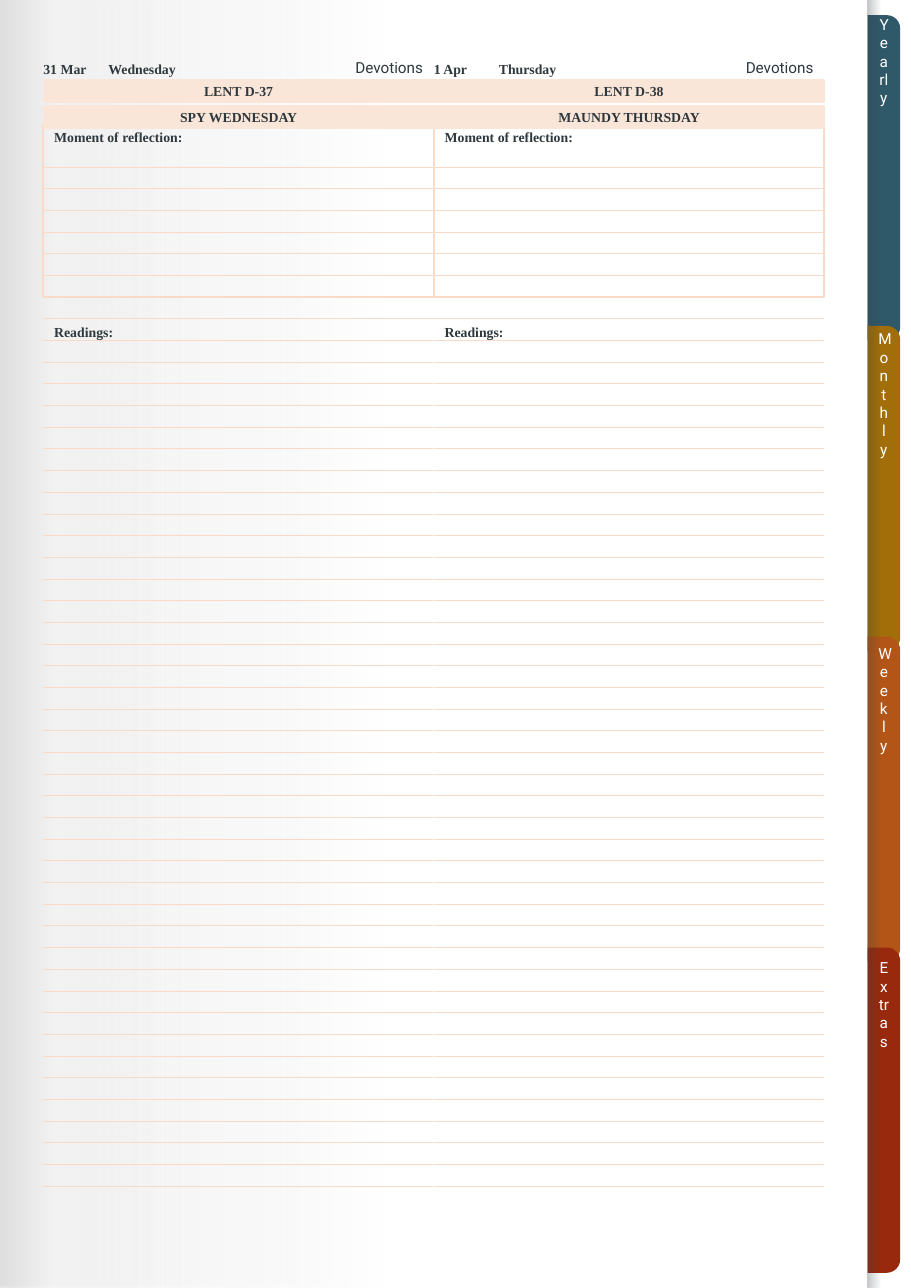
from dataclasses import dataclass
from typing import Optional

from lxml.etree import SubElement
from pptx import Presentation
from pptx.dml.color import RGBColor
from pptx.enum.shapes import MSO_CONNECTOR, MSO_SHAPE
from pptx.enum.text import MSO_ANCHOR as Anchor, PP_ALIGN as Align
from pptx.oxml.ns import qn
from pptx.util import Cm, Pt


@dataclass(frozen=True)
class Theme:
    ink: str = "2F393D"
    white: str = "FFFFFF"
    rule: str = "F8DAC6"
    band: str = "FAE6D9"
    serif: str = "Times New Roman"
    sans: str = "Roboto"
    small: float = 9
    regular: float = 10
    thin: float = 0.5
    medium: float = 1
    thick: float = 1.5


@dataclass(frozen=True)
class Box:
    left: float
    top: float
    width: float
    height: float

    def lengths(self) -> tuple:
        return Cm(self.left), Cm(self.top), Cm(self.width), Cm(self.height)


@dataclass(frozen=True)
class Stop:
    position: int
    color: str
    opacity: int


@dataclass(frozen=True)
class Day:
    left: float
    date: str
    weekday: str
    bands: tuple


@dataclass(frozen=True)
class Tab:
    label: str
    color: str


THEME = Theme()
PAGE = Box(0, 0, 21, 29.7)
COLUMN = 9
ROW = 0.5
INSET = 0.25
DATE_TOP, BAND_TOP, BAND_STEP = 1.35, 1.85, 0.6
REFLECTION_TOP, REFLECTION_ROWS = 2.85, 8
READING_TOP, READING_LINES = 7.35, 41
TAB_LEFT, TAB_TOP, TAB_WIDTH, TAB_LENGTH, TABS_LENGTH = 20, 0.35, 0.75, 7.5, 29

PAGE_STOPS = (Stop(0, "D9D9D9", 88), Stop(6, "D9D9D9", 33),
              Stop(19, "F2F2F2", 65), Stop(43, "FFFFFF", 100))
EDGE_STOPS = (Stop(0, "384448", 30), Stop(31, "384448", 0))
DAYS = (Day(1, "31 Mar", "Wednesday", ("LENT D-37", "SPY WEDNESDAY")),
        Day(10, "1 Apr", "Thursday", ("LENT D-38", "MAUNDY THURSDAY")))
TABS = (Tab("Yearly", "2F5869"), Tab("Monthly", "A16E09"),
        Tab("Weekly", "B35517"), Tab("Extras", "98290D"))

HEADING = dict(name=THEME.serif, size=Pt(THEME.small), bold=True)
LABEL = dict(name=THEME.sans, size=Pt(THEME.regular), bold=False)


def write(shape, text: str, font: dict, color: str = THEME.ink, align=Align.LEFT,
          anchor=Anchor.MIDDLE, inset: float = INSET, spacing: float = 1) -> None:
    frame = shape.text_frame
    frame_format = dict(word_wrap=True, vertical_anchor=anchor, margin_left=Cm(inset),
                        margin_right=Cm(INSET), margin_top=0, margin_bottom=0)
    for name, value in frame_format.items():
        setattr(frame, name, value)
    paragraph = frame.paragraphs[0]
    paragraph.text = text
    paragraph.alignment = align
    paragraph.line_spacing = spacing
    for name, value in font.items():
        setattr(paragraph.font, name, value)
    paragraph.font.color.rgb = RGBColor.from_string(color)


def add_text(slide, box: Box, text: str, font: dict, **options):
    shape = slide.shapes.add_textbox(*box.lengths())
    write(shape, text, font, **options)
    return shape


def add_block(slide, box: Box, fill: Optional[str] = None, line: Optional[str] = None,
              weight: float = THEME.medium, kind=MSO_SHAPE.RECTANGLE):
    shape = slide.shapes.add_shape(kind, *box.lengths())
    shape.shadow.inherit = False
    if fill:
        shape.fill.solid()
        shape.fill.fore_color.rgb = RGBColor.from_string(fill)
    else:
        shape.fill.background()
    if line:
        shape.line.color.rgb = RGBColor.from_string(line)
        shape.line.width = Pt(weight)
    else:
        shape.line.fill.background()
    return shape


def add_shade(slide, box: Box, stops: tuple) -> None:
    """Draw a left-to-right gradient whose stops may be transparent."""
    shape = add_block(slide, box)
    shape.fill.gradient()
    shape.fill.gradient_angle = 0
    stop_list = shape._element.spPr.find(qn("a:gradFill")).find(qn("a:gsLst"))
    for default in list(stop_list):
        stop_list.remove(default)
    for stop in stops:
        entry = SubElement(stop_list, qn("a:gs"), pos=str(stop.position * 1000))
        color = SubElement(entry, qn("a:srgbClr"), val=stop.color)
        SubElement(color, qn("a:alpha"), val=str(stop.opacity * 1000))


def add_line(slide, start: tuple, end: tuple, color: str, weight: float):
    points = (Cm(value) for value in start + end)
    line = slide.shapes.add_connector(MSO_CONNECTOR.STRAIGHT, *points)
    line.line.color.rgb = RGBColor.from_string(color)
    line.line.width = Pt(weight)
    SubElement(line._element.spPr, qn("a:effectLst"))
    return line


def add_rule(slide, left: float, top: float):
    return add_line(slide, (left, top), (left + COLUMN, top), THEME.rule, THEME.thin)


def add_writing_area(slide, day: Day) -> None:
    """Draw the framed reflection rows and the ruled reading lines of a day."""
    for row in range(READING_LINES):
        add_rule(slide, day.left, READING_TOP + row * ROW)
    frame = add_block(slide, Box(day.left, REFLECTION_TOP, COLUMN, REFLECTION_ROWS * ROW),
                      line=THEME.rule, weight=THEME.thick)
    for row in range(2, REFLECTION_ROWS):
        rule = add_rule(slide, day.left, REFLECTION_TOP + row * ROW)
        if row == REFLECTION_ROWS // 2:
            rule.begin_connect(frame, 1)
            rule.end_connect(frame, 3)
    for text, top, width in (("Moment of reflection:", REFLECTION_TOP, COLUMN),
                             ("Readings:", READING_TOP, COLUMN / 2)):
        add_text(slide, Box(day.left, top, width, ROW), text, HEADING,
                 anchor=Anchor.BOTTOM, spacing=0.9)


def add_day_header(slide, day: Day) -> None:
    for index, text in enumerate(day.bands):
        band = add_block(slide, Box(day.left, BAND_TOP + index * BAND_STEP, COLUMN, ROW),
                         fill=THEME.band, line=THEME.band)
        write(band, text, HEADING, align=Align.CENTER)
    add_text(slide, Box(day.left, DATE_TOP, 1.5, ROW), day.date, HEADING, inset=0)
    add_text(slide, Box(day.left + 1.5, DATE_TOP, 2, ROW), day.weekday, HEADING, inset=0)
    add_text(slide, Box(day.left + 3.5, DATE_TOP, 5.5, 0.75), "Devotions", LABEL,
             align=Align.RIGHT, anchor=Anchor.TOP)


def add_tab(slide, index: int, tab: Tab) -> None:
    step = (TABS_LENGTH - TAB_LENGTH) / (len(TABS) - 1)
    shift = (TAB_LENGTH - TAB_WIDTH) / 2
    box = Box(TAB_LEFT - shift, TAB_TOP + index * step + shift, TAB_LENGTH, TAB_WIDTH)
    shape = add_block(slide, box, fill=tab.color, kind=MSO_SHAPE.ROUND_2_SAME_RECTANGLE)
    shape.rotation = 90
    shape.adjustments[0] = 0.41
    shape.adjustments[1] = 0


def add_tab_label(slide, index: int, tab: Tab) -> None:
    length = TABS_LENGTH / len(TABS)
    label = add_text(slide, Box(TAB_LEFT, TAB_TOP + index * length, TAB_WIDTH, length),
                     tab.label, LABEL, color=THEME.white, align=Align.CENTER)
    label.text_frame._txBody.bodyPr.set("vert", "mongolianVert")


def main() -> None:
    presentation = Presentation()
    presentation.slide_width, presentation.slide_height = Cm(PAGE.width), Cm(PAGE.height)
    slide = presentation.slides.add_slide(presentation.slide_layouts[6])
    add_shade(slide, PAGE, PAGE_STOPS)
    for index, tab in enumerate(TABS):
        add_tab(slide, index, tab)
    add_shade(slide, Box(TAB_LEFT, 0, 1, PAGE.height), EDGE_STOPS)
    first, second = DAYS
    add_writing_area(slide, first)
    add_line(slide, (second.left, READING_TOP), (second.left, PAGE.height),
             THEME.white, THEME.thick)
    add_writing_area(slide, second)
    for day in DAYS:
        add_day_header(slide, day)
    for index, tab in enumerate(TABS):
        add_tab_label(slide, index, tab)
    presentation.save("out.pptx")


if __name__ == "__main__":
    main()
